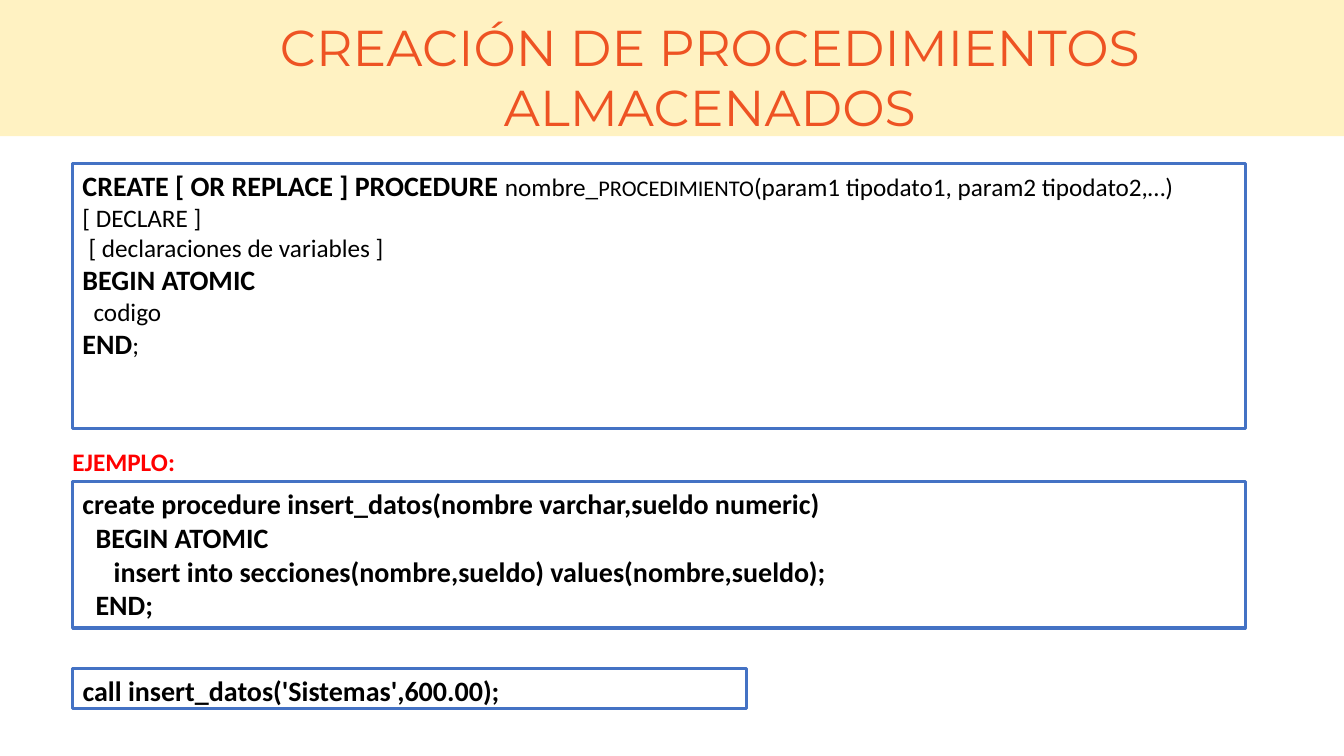
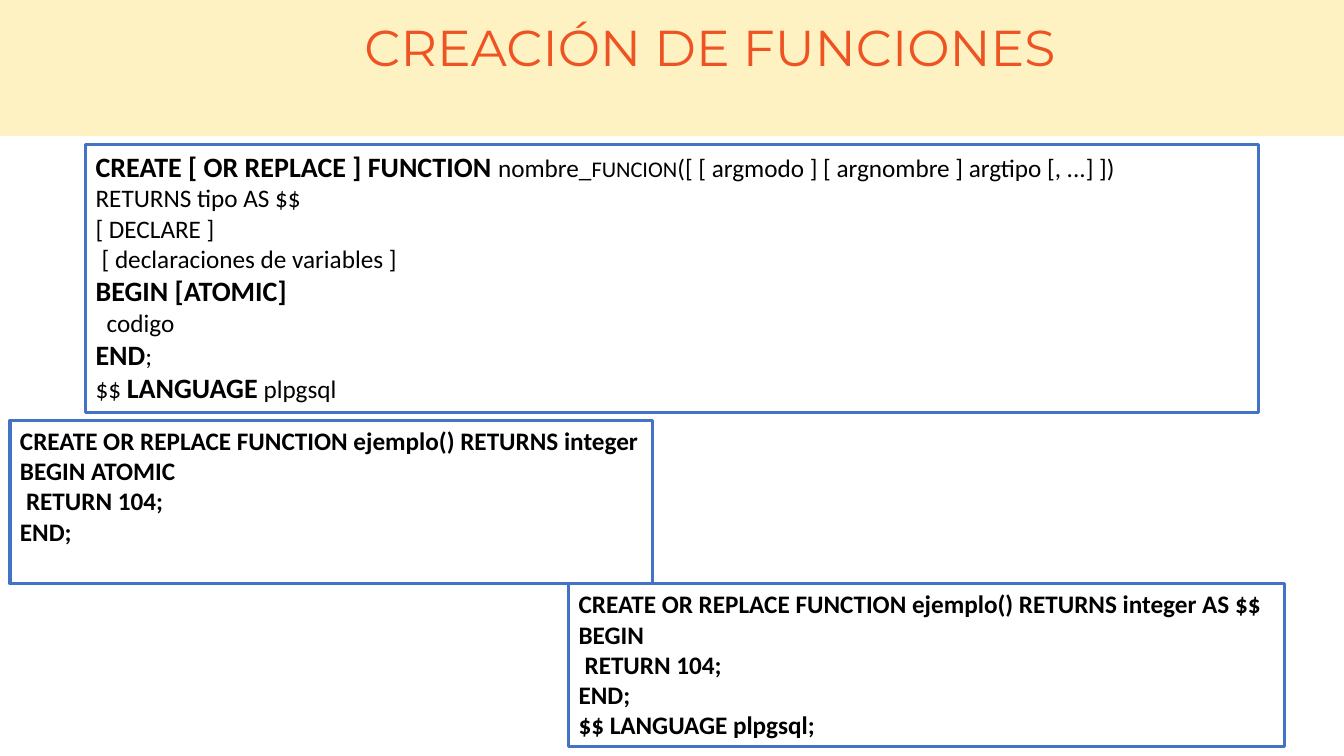
"""Build two slides on SQL stored procedures and functions."""
from lxml.etree import SubElement
from pptx import Presentation
from pptx.dml.color import RGBColor as RGB
from pptx.enum.shapes import MSO_SHAPE as SHAPE
from pptx.enum.text import MSO_ANCHOR as ANCHOR, PP_ALIGN as ALIGN
from pptx.oxml.ns import qn
from pptx.util import Inches, Pt

COLORS = {"band": "FFCC00", "title": "EE5323", "border": "4472C4", "code": "000000", "label": "FF0000"}
KEYWORD, PLAIN, SMALL, SNIPPET = (20, True), (18, False), (16, False), (18, True)


def style_font(font, name, size, color, bold=False):
    font.name, font.size, font.bold = name, Pt(size), bold
    font.color.rgb = RGB.from_string(COLORS[color])


def add_code(page, left, top, width, height, lines):
    box = page.shapes.add_shape(SHAPE.RECTANGLE, Inches(left), Inches(top), Inches(width), Inches(height))
    box.shadow.inherit = False
    box.fill.background()
    box.line.color.rgb = RGB.from_string(COLORS["border"])
    box.line.width = Pt(2.25)
    frame = box.text_frame
    frame.word_wrap = True
    frame.vertical_anchor = ANCHOR.TOP
    for number, (indent, *spans) in enumerate(lines):
        para = frame.add_paragraph() if number else frame.paragraphs[0]
        para.alignment = ALIGN.LEFT
        para._p.get_or_add_pPr().set("marL", str(Inches(indent)))
        for text, (size, bold) in spans:
            span = para.add_run()
            span.text = text
            style_font(span.font if len(spans) > 1 else para.font, "Calibri", size, "code", bold)


deck = Presentation()
deck.slide_width, deck.slide_height = Inches(13.33), Inches(7.5)
layout = deck.slide_layouts[6]
for holder in list(layout.placeholders):
    layout.shapes.element.remove(holder.element)

pages = []
for title, height in [("CREACIÓN DE PROCEDIMIENTOS ALMACENADOS", 1.31), ("CREACIÓN DE FUNCIONES", 0.71)]:
    page = deck.slides.add_slide(layout)
    pages.append(page)
    if len(pages) == 1:
        band = page.shapes.add_shape(SHAPE.RECTANGLE, 0, 0, deck.slide_width, Inches(1.35))
        band.shadow.inherit = False
        band.fill.solid()
        band.fill.fore_color.rgb = RGB.from_string(COLORS["band"])
        SubElement(next(band.element.iter(qn("a:srgbClr"))), qn("a:alpha"), val="24000")
        band.line.fill.background()
        layout.shapes.element.append(band.element)
    box = page.shapes.add_textbox(Inches(1.57), Inches(0.11), Inches(10.94), Inches(height))
    box.text_frame.word_wrap = True
    para = box.text_frame.paragraphs[0]
    para.text = title
    para.alignment = ALIGN.CENTER
    style_font(para.font, "Montserrat", 36, "title")

procedures, functions = pages
declarations = [
    (0, ("[ DECLARE ]", PLAIN)),
    (0.06, ("[ declaraciones de variables ]", PLAIN)),
]
body = [
    (0.11, ("codigo", PLAIN)),
    (0, ("END", KEYWORD), (";", PLAIN)),
]

add_code(procedures, 0.72, 1.62, 11.63, 2.63, [
    (0, ("CREATE [ OR REPLACE ] PROCEDURE ", KEYWORD), ("nombre_", PLAIN), ("PROCEDIMIENTO", SMALL),
     ("(param1 tipodato1, param2 tipodato2,…)", PLAIN)),
    *declarations,
    (0, ("BEGIN ATOMIC", KEYWORD)),
    *body,
])
add_code(procedures, 0.72, 4.78, 11.63, 1.45, [
    (0, ("create procedure insert_datos(nombre varchar,sueldo numeric)", KEYWORD)),
    (0.13, ("BEGIN ATOMIC", KEYWORD)),
    (0.31, ("insert into secciones(nombre,sueldo) values(nombre,sueldo);", KEYWORD)),
    (0.13, ("END;", KEYWORD)),
])
label = procedures.shapes.add_textbox(Inches(0.62), Inches(4.38), Inches(1.23), Inches(0.4))
label.text_frame.word_wrap = False
para = label.text_frame.paragraphs[0]
para.text = "EJEMPLO:"
style_font(para.font, "Calibri", 18, "label", True)
add_code(procedures, 0.72, 6.63, 6.68, 0.4, [(0, ("call insert_datos('Sistemas',600.00);", KEYWORD))])

add_code(functions, 0.85, 1.43, 11.63, 2.66, [
    (0, ("CREATE [ OR REPLACE ] FUNCTION ", KEYWORD), ("nombre_", PLAIN), ("FUNCION", SMALL),
     ("([ [ argmodo ] [ argnombre ] argtipo [, ...] ])", PLAIN)),
    (0, ("RETURNS tipo AS $$", PLAIN)),
    *declarations,
    (0, ("BEGIN [ATOMIC]", KEYWORD)),
    *body,
    (0, ("$$ ", PLAIN), ("LANGUAGE", KEYWORD), (" plpgsql", PLAIN)),
])
header = "CREATE OR REPLACE FUNCTION ejemplo() RETURNS integer"
result = [(0.06, ("RETURN 104;", SNIPPET)), (0, ("END;", SNIPPET))]
add_code(functions, 0.1, 4.17, 6.37, 1.62, [
    (0, (header, SNIPPET)),
    (0, ("BEGIN ATOMIC", SNIPPET)),
    *result,
])
add_code(functions, 5.64, 5.79, 7.1, 1.62, [
    (0, (header + " AS $$", SNIPPET)),
    (0, ("BEGIN", SNIPPET)),
    *result,
    (0, ("$$ LANGUAGE plpgsql;", SNIPPET)),
])

deck.save("out.pptx")
